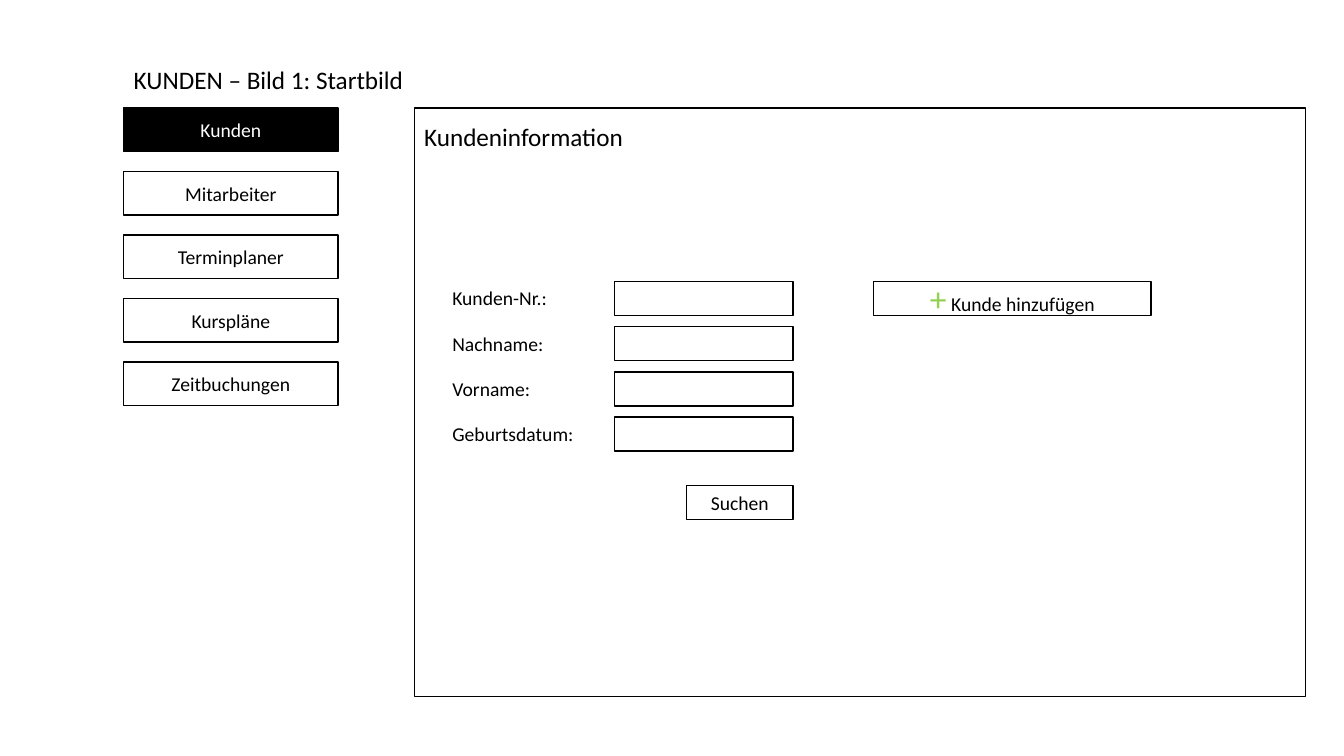
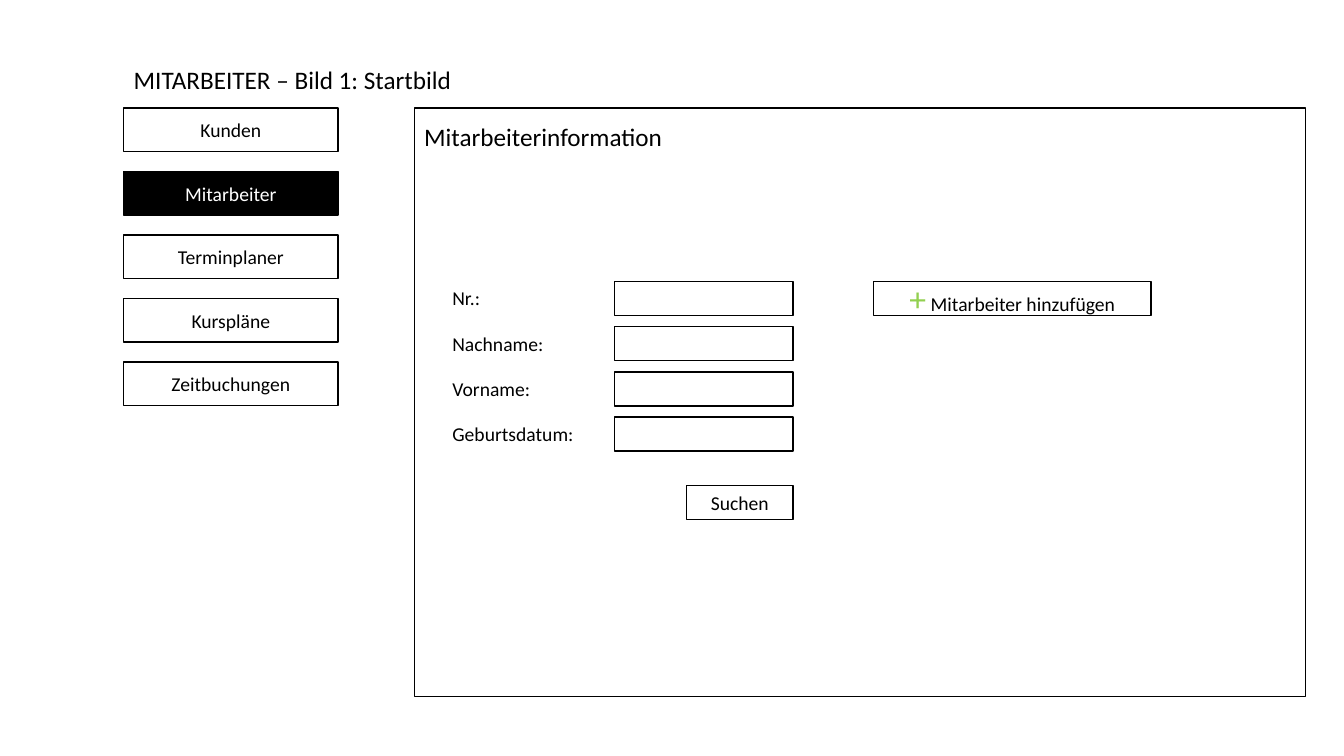
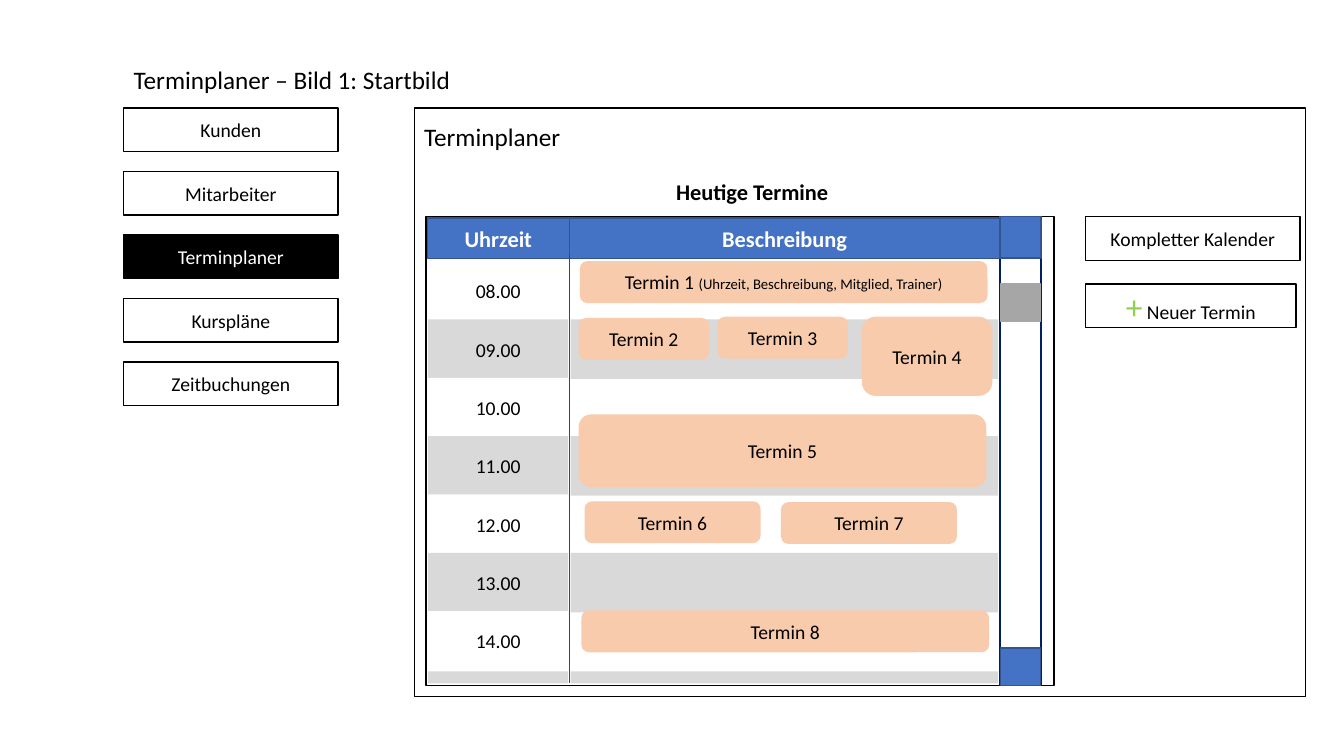
from pptx import Presentation
from pptx.dml.color import RGBColor
from pptx.enum.shapes import MSO_CONNECTOR, MSO_SHAPE
from pptx.enum.text import MSO_ANCHOR, PP_ALIGN
from pptx.oxml.ns import qn
from pptx.util import Cm, Pt
from lxml.etree import SubElement

BLACK = RGBColor(0x00, 0x00, 0x00)
WHITE = RGBColor(0xFF, 0xFF, 0xFF)
GREEN = RGBColor(0x92, 0xD0, 0x50)
BLUE = RGBColor(0x44, 0x72, 0xC4)
BLUE_EDGE = RGBColor(0x32, 0x54, 0x91)
NAVY = RGBColor(0x00, 0x20, 0x60)
DIVIDER = RGBColor(0x1F, 0x4E, 0x79)
GRAY = RGBColor(0xA6, 0xA6, 0xA6)
BAND = RGBColor(0xD9, 0xD9, 0xD9)
PEACH = RGBColor(0xF8, 0xCB, 0xAD)

FONT = "Calibri"
MENU = ["Kunden", "Mitarbeiter", "Terminplaner", "Kurspläne", "Zeitbuchungen"]
HOURS = ["08.00", "09.00", "10.00", "11.00", "12.00", "13.00", "14.00"]
APPOINTMENTS = [
    ("Termin 2", 14.6, 8.03, 3.25, 1.02),
    ("Termin 3", 18.1, 8.0, 3.25, 1.02),
    ("Termin 4", 21.74, 8.0, 3.25, 1.96),
    ("Termin 5", 14.6, 10.46, 10.24, 1.8),
    ("Termin 6", 14.75, 12.65, 4.4, 1.02),
    ("Termin 7", 19.7, 12.67, 4.4, 1.02),
    ("Termin 8", 14.67, 15.4, 10.24, 1.02),
]


class Mockup:
    """Draws the wireframe screens of the booking application."""

    def __init__(self):
        self.prs = Presentation()
        self.prs.slide_width = Cm(33.87)
        self.prs.slide_height = Cm(19.05)
        self.s = None

    def style(self, p, size, color, bold=False):
        p.font.name = FONT
        p.font.size = Pt(size)
        p.font.color.rgb = color
        p.font.bold = bold

    def text(self, x, y, w, h, text, size=14, bold=False):
        sp = self.s.shapes.add_textbox(Cm(x), Cm(y), Cm(w), Cm(h))
        tf = sp.text_frame
        tf.word_wrap = True
        p = tf.paragraphs[0]
        p.text = text
        self.style(p, size, BLACK, bold)

    def box(self, x, y, w, h, text="", fill=WHITE, line=BLACK, color=BLACK,
            size=14, bold=False, kind=MSO_SHAPE.RECTANGLE):
        sp = self.s.shapes.add_shape(kind, Cm(x), Cm(y), Cm(w), Cm(h))
        sp.shadow.inherit = False
        if fill is None:
            sp.fill.background()
        else:
            sp.fill.solid()
            sp.fill.fore_color.rgb = fill
        if line is None:
            sp.line.fill.background()
        else:
            sp.line.color.rgb = line
            sp.line.width = Pt(1)
        tf = sp.text_frame
        tf.vertical_anchor = MSO_ANCHOR.MIDDLE
        p = tf.paragraphs[0]
        p.alignment = PP_ALIGN.CENTER
        if text:
            p.text = text
            self.style(p, size, color, bold)
        return p

    def add_button(self, x, y, w, h, text):
        p = self.box(x, y, w, h, "+")
        plus = p.runs[0]
        plus.font.size = Pt(24)
        plus.font.color.rgb = GREEN
        p.add_run().text = f" {text}"

    def appointment(self, text, x, y, w, h):
        return self.box(x, y, w, h, text, fill=PEACH, line=PEACH,
                        kind=MSO_SHAPE.ROUNDED_RECTANGLE)

    def divider(self, x, top, bottom):
        line = self.s.shapes.add_connector(
            MSO_CONNECTOR.STRAIGHT, Cm(x), Cm(top), Cm(x), Cm(bottom))
        line.line.color.rgb = DIVIDER
        line.line.width = Pt(0.5)
        SubElement(line._element.spPr, qn("a:effectLst"))

    def screen(self, title, heading, active):
        self.s = self.prs.slides.add_slide(self.prs.slide_layouts[6])
        self.text(3.12, 1.5, 18.2, 1.02, f"{title} – Bild 1: Startbild", 18)
        for i, name in enumerate(MENU):
            fill, color = (BLACK, WHITE) if name == active else (WHITE, BLACK)
            self.box(3.12, 2.72 + 1.6 * i, 5.4, 1.1, name, fill, color=color)
        self.box(10.44, 2.72, 22.46, 14.83, fill=None)
        self.text(10.44, 2.92, 6.76, 1.02, heading, 18)

    def search_form(self, number_label, add_label):
        labels = [number_label, "Nachname:", "Vorname:", "Geburtsdatum:"]
        for i, label in enumerate(labels):
            y = 7.09 + 1.14 * i
            self.text(11.15, y, 3.63, 0.86, label)
            self.box(15.49, y, 4.5, 0.86)
        self.box(17.3, 12.24, 2.69, 0.86, "Suchen")
        self.add_button(22.02, 7.09, 6.99, 0.86, add_label)

    def scrollbar(self):
        self.box(25.2, 5.46, 1.04, 11.81, line=NAVY)
        self.box(25.2, 5.46, 1.04, 1.04, fill=BLUE, line=BLUE_EDGE)
        self.box(25.22, 16.33, 1.0, 0.94, fill=BLUE, line=BLUE_EDGE)
        self.box(25.22, 7.16, 1.0, 0.94, fill=GRAY, line=GRAY)

    def day_plan(self):
        self.text(16.79, 4.37, 4.42, 0.94, "Heutige Termine", 16, True)
        self.box(10.74, 5.46, 15.82, 11.81, fill=None)
        self.scrollbar()
        for x, w, name in [(10.77, 3.58, "Uhrzeit"), (14.35, 10.85, "Beschreibung")]:
            self.box(x, 5.49, w, 1.02, name, BLUE, BLUE_EDGE, WHITE, 16, True)
        self.divider(14.35, 6.4, 17.2)
        for i, hour in enumerate(HOURS):
            y = 6.58 + 1.47 * i
            fill = BAND if i % 2 else WHITE
            self.box(10.79, y, 3.53, 1.5, hour, fill, None)
            if i % 2:
                self.box(14.38, y, 10.77, 1.5, fill=fill, line=None)
        for x, w in [(10.79, 3.53), (14.38, 10.77)]:
            self.box(x, 16.92, w, 0.3, fill=BAND, line=None)
        p = self.appointment("Termin 1 ", 14.63, 6.6, 10.24, 1.02)
        r = p.add_run()
        r.text = "(Uhrzeit, Beschreibung, Mitglied, Trainer)"
        r.font.size = Pt(10.5)
        for appointment in APPOINTMENTS:
            self.appointment(*appointment)
        self.box(27.36, 5.46, 5.4, 1.1, "Kompletter Kalender")
        self.add_button(27.36, 7.16, 5.3, 1.1, "Neuer Termin")


def main():
    m = Mockup()
    m.screen("KUNDEN", "Kundeninformation", "Kunden")
    m.search_form("Kunden-Nr.:", "Kunde hinzufügen")
    m.screen("MITARBEITER", "Mitarbeiterinformation", "Mitarbeiter")
    m.search_form("Nr.:", "Mitarbeiter hinzufügen")
    m.screen("Terminplaner", "Terminplaner", "Terminplaner")
    m.day_plan()
    m.prs.save("out.pptx")


if __name__ == "__main__":
    main()
